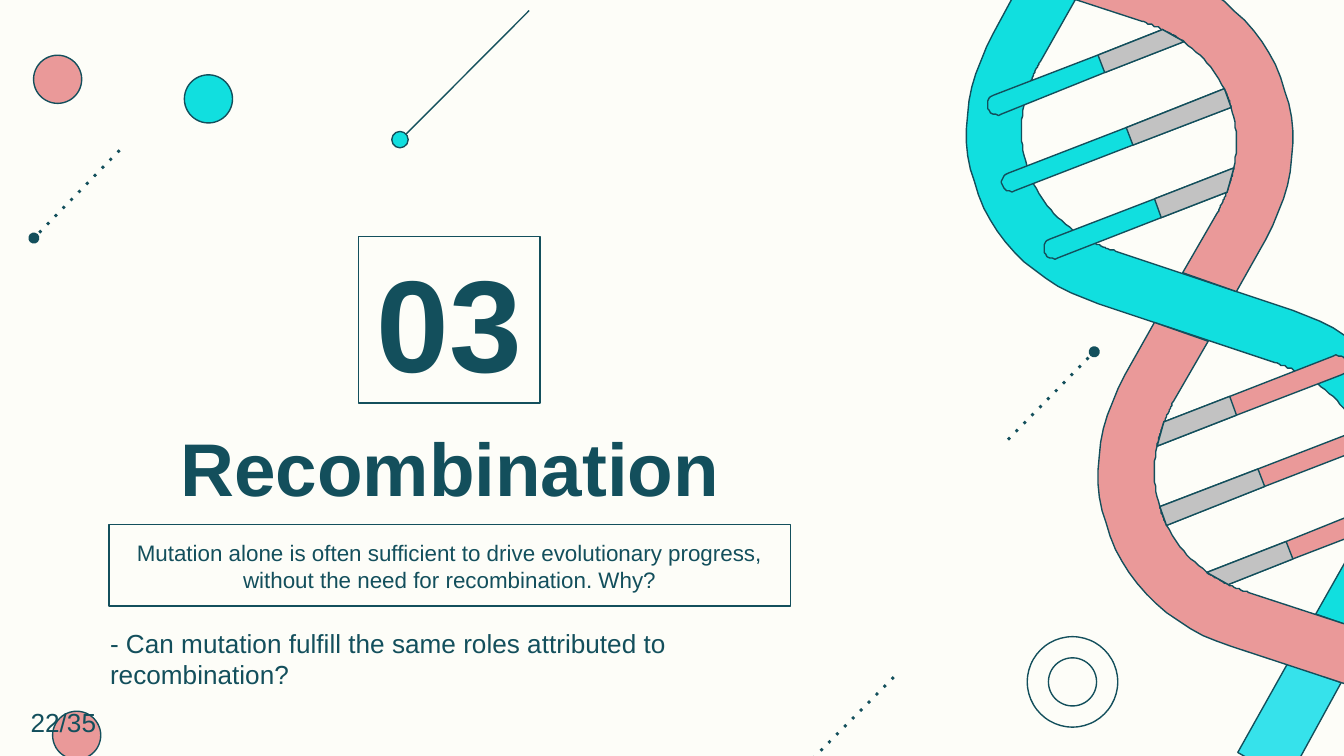
from pptx import Presentation
from pptx.dml.color import RGBColor
from pptx.enum.dml import MSO_LINE
from pptx.enum.shapes import MSO_CONNECTOR, MSO_SHAPE
from pptx.enum.text import MSO_ANCHOR, PP_ALIGN
from pptx.oxml.ns import qn
from pptx.util import Cm, Pt
from lxml import etree

OVAL, RECTANGLE = MSO_SHAPE.OVAL, MSO_SHAPE.RECTANGLE
STRAIGHT, DOTTED = MSO_CONNECTOR.STRAIGHT, MSO_LINE.ROUND_DOT
CENTER, LEFT = PP_ALIGN.CENTER, PP_ALIGN.LEFT
TOP, MIDDLE, BOTTOM = MSO_ANCHOR.TOP, MSO_ANCHOR.MIDDLE, MSO_ANCHOR.BOTTOM

CREAM = RGBColor(0xFD, 0xFD, 0xF8)
TEAL = RGBColor(0x13, 0x4F, 0x5C)
CYAN = RGBColor(0x11, 0xDF, 0xDF)
LIGHT_CYAN = RGBColor(0x36, 0xE2, 0xEB)
PINK = RGBColor(0xEA, 0x99, 0x99)
GRAY = RGBColor(0xC2, 0xC2, 0xC2)


def finish(shape, fill=None):
    """Give a shape the thin teal outline and a flat fill, or none."""
    shape.shadow.inherit = False
    shape.line.color.rgb = TEAL
    shape.line.width = Pt(0.75)
    if fill is None:
        shape.fill.background()
    else:
        shape.fill.solid()
        shape.fill.fore_color.rgb = fill


def flatten(outline, steps=12):
    """Turn pairs (line to) and sixes (cubic curve to) into plain points."""
    points = []
    for part in outline:
        if len(part) == 2:
            points.append(part)
            continue
        x0, y0 = points[-1]
        x1, y1, x2, y2, x3, y3 = part
        for step in range(1, steps + 1):
            t = step / steps
            a, b, c, d = (1 - t) ** 3, 3 * t * (1 - t) ** 2, 3 * t * t * (1 - t), t ** 3
            points.append((a * x0 + b * x1 + c * x2 + d * x3,
                           a * y0 + b * y1 + c * y2 + d * y3))
    return points


presentation = Presentation()
presentation.slide_width = Cm(25.4)
presentation.slide_height = Cm(14.29)
slide = presentation.slides.add_slide(presentation.slide_layouts[6])
slide.background.fill.solid()
slide.background.fill.fore_color.rgb = CREAM
shapes = slide.shapes

# Lines: start, end, dotted, dot at the end
lines = [
    (16.89, 12.8, 15.27, 14.43, True, False),
    (2.26, 2.84, 0.64, 4.5, True, True),
    (19.05, 8.31, 20.68, 6.65, True, True),
    (7.67, 2.54, 10, 0.2, False, False),
]
for x1, y1, x2, y2, dotted, end_dot in lines:
    connector = shapes.add_connector(STRAIGHT, Cm(x1), Cm(y1), Cm(x2), Cm(y2))
    connector.line.color.rgb = TEAL
    connector.line.width = Pt(1.5 if dotted else 0.75)
    properties = connector.element.spPr
    outline = properties.find(qn("a:ln"))
    if dotted:
        connector.line.dash_style = DOTTED
        outline.find(qn("a:prstDash")).set("val", "dot")
    if end_dot:
        etree.SubElement(outline, qn("a:tailEnd")).set("type", "oval")
    etree.SubElement(properties, qn("a:effectLst"))

# Circles: centre, diameter, fill
circles = [
    (20.27, 12.89, 1.71, None),
    (20.27, 12.89, 0.91, None),
    (7.56, 2.64, 0.31, CYAN),
    (1.09, 1.5, 0.91, PINK),
    (1.45, 13.9, 0.91, PINK),
    (3.94, 1.87, 0.91, CYAN),
]
for x, y, size, fill in circles:
    circle = shapes.add_shape(OVAL, Cm(x - size / 2), Cm(y - size / 2), Cm(size), Cm(size))
    finish(circle, fill)

# DNA helix, in units of 0.0254 cm; its lower half is the upper one turned by 180 degrees
UNIT = Cm(0.0254)
TURN_X, TURN_Y = 1779, 457
tail = [(958, 494), (921, 560), (958, 581), (998, 508)]
cyan_edge = flatten([
    (760, -14), (739, 25), (717, 64, 713, 107, 728, 145), (743, 184, 774, 212, 817, 226),
    (949, 270), (955, 272, 960, 274, 964, 276), (970, 279, 975, 282, 980, 285),
    (993, 295, 1003, 306, 1010, 320), (1015, 334), (1020, 348, 1020, 364, 1017, 379),
    (1016, 385, 1014, 391, 1012, 397), (1010, 402, 1007, 407, 1005, 411), (979, 457),
])
pink_strand = flatten([
    (701, -77), (688, -37), (850, 16), (856, 18, 861, 20, 865, 22),
    (871, 25, 876, 28, 881, 31), (894, 41, 904, 52, 911, 66), (913, 70, 915, 75, 916, 80),
    (921, 94, 921, 110, 918, 125), (917, 131, 915, 137, 913, 143),
    (911, 148, 908, 153, 906, 158), (880, 203), (920, 217), (942, 178),
    (964, 139, 968, 96, 953, 58), (938, 19, 906, -10, 863, -24), (781, -51),
])
# Rungs: cap top, cap bottom, middle bottom, end bottom, end top, middle top
rungs = [
    [(739, 71), (745, 85), (822, 54), (881, 31), (865, 22), (817, 41)],
    [(750, 129), (755, 142), (843, 108), (916, 80), (911, 66), (838, 95)],
    [(781, 178), (787, 192), (864, 162), (913, 143), (918, 125), (859, 148)],
]
cyan_strand = cyan_edge + [(TURN_X - x, TURN_Y - y) for x, y in cyan_edge]
helix = [(tail, LIGHT_CYAN), (cyan_strand, CYAN)]
for turned, rung_color in ((False, CYAN), (True, PINK)):
    half = [(pink_strand, PINK)]
    for rung in rungs:
        (top_x, top_y), (bottom_x, bottom_y) = rung[:2]
        cap = (top_x - 9, top_y + 3.5, bottom_x - 9, bottom_y + 3.5, bottom_x, bottom_y)
        half.append((flatten([rung[0], cap] + rung[2:]), rung_color))
        half.append((rung[2:], GRAY))
    for points, fill in half:
        if turned:
            points = [(TURN_X - x, TURN_Y - y) for x, y in points]
        helix.append((points, fill))
for points, fill in helix:
    builder = shapes.build_freeform(*points[0], scale=UNIT)
    builder.add_line_segments(points[1:], close=True)
    finish(builder.convert_to_shape(), fill)

# Texts: text, box, size, bold, alignment, anchor, framed, wrapped, vertical inset
texts = [
    ("Recombination", (2.06, 7.34, 12.88, 2.95), 40, True, CENTER, MIDDLE, False, True, 0.25),
    ("03", (6.78, 4.47, 3.43, 3.15), 70, True, CENTER, MIDDLE, True, True, 0.25),
    ("Mutation alone is often sufficient to drive evolutionary progress, "
     "without the need for recombination. Why?",
     (2.06, 9.91, 12.88, 1.55), 12, False, CENTER, BOTTOM, True, True, 0.25),
    ("- Can mutation fulfill the same roles attributed to recombination?",
     (1.83, 11.73, 14.07, 0.86), 14, False, LEFT, TOP, False, True, 0.13),
    ("22/35", (0.33, 13.23, 1.75, 0.86), 14, False, LEFT, TOP, False, False, 0.13),
]
for text, box, size, bold, alignment, anchor, framed, wrapped, inset in texts:
    position = [Cm(length) for length in box]
    if framed:
        shape = shapes.add_shape(RECTANGLE, *position)
        finish(shape)
    else:
        shape = shapes.add_textbox(*position)
    frame = shape.text_frame
    frame.word_wrap = wrapped
    frame.vertical_anchor = anchor
    frame.margin_left = frame.margin_right = Cm(0.25)
    frame.margin_top = frame.margin_bottom = Cm(inset)
    frame.text = text
    paragraph = frame.paragraphs[0]
    paragraph.alignment = alignment
    font = paragraph.runs[0].font
    font.name = "Arial"
    font.size = Pt(size)
    font.bold = bold
    font.color.rgb = TEAL

presentation.save("out.pptx")
